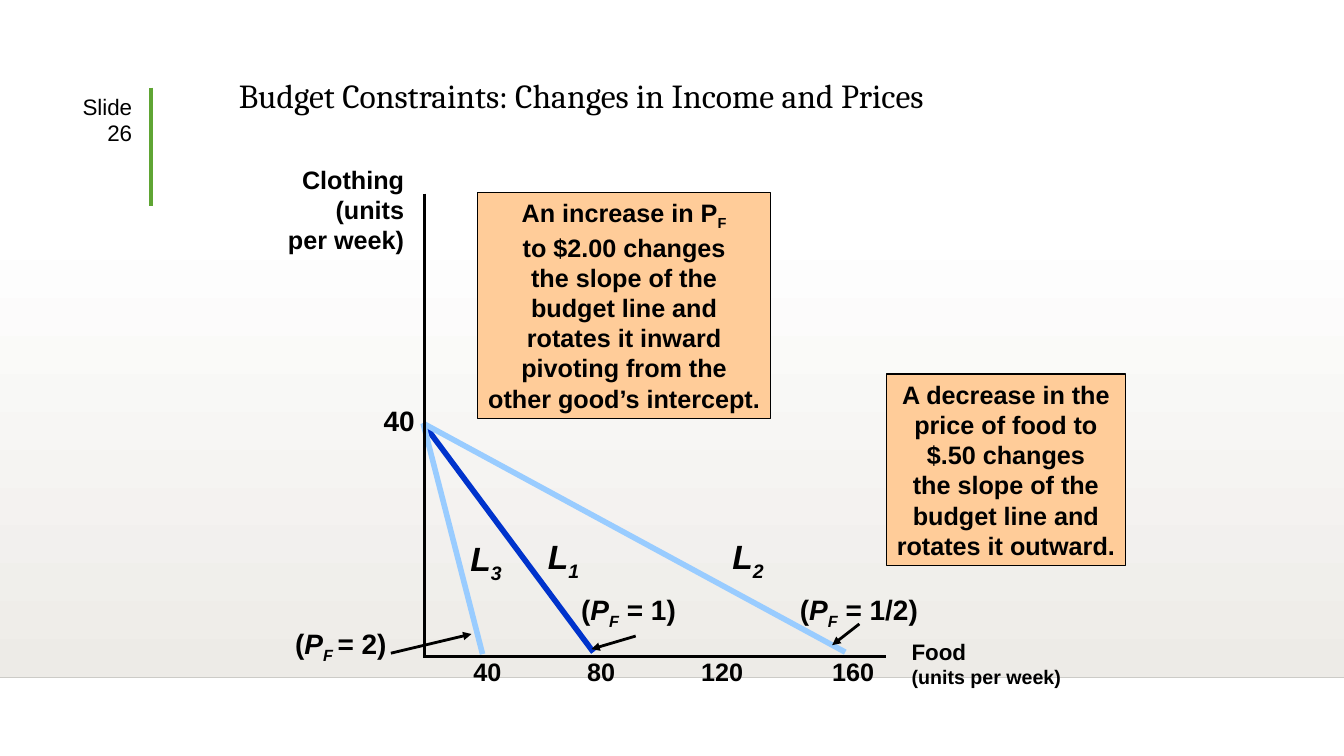
from collections import namedtuple

from lxml.etree import SubElement
from pptx import Presentation
from pptx.dml.color import RGBColor
from pptx.enum.shapes import MSO_CONNECTOR, MSO_SHAPE
from pptx.enum.text import MSO_ANCHOR, MSO_AUTO_SIZE, PP_ALIGN
from pptx.oxml.ns import qn
from pptx.util import Inches, Pt

COLORS = {
    "black": "000000",
    "white": "FFFFFF",
    "floor": "EDEBE7",
    "floor_edge": "CCCBC7",
    "accent": "5FA534",
    "old_line": "0033CC",
    "new_line": "99CCFF",
    "note": "FFCC99",
}
Box = namedtuple("Box", "left top width height")
BudgetLine = namedtuple("BudgetLine", "number price color end label price_box arrow")

BUDGET_LINES = [
    BudgetLine("1", [("F", "is"), (" = 1)", "")], "old_line", (1.69, 4.55),
               (1.14, 3.35), (1.47, 3.91, 1.14), ((2.11, 4.39), (1.67, 4.52))),
    BudgetLine("3", [("F ", "is"), ("= 2)", "")], "new_line", (0.59, 4.57),
               (0.37, 3.37), (-1.37, 4.25, 1.11), ((-0.32, 4.56), (0.48, 4.37))),
    BudgetLine("2", [("F", "is"), (" = 1/2)", "")], "new_line", (4.19, 4.55),
               (2.97, 3.35), (3.64, 3.91, 1.4), ((4.33, 4.27), (4.06, 4.48))),
]
TICKS = [("40", 0.4, 0.48), ("80", 1.53, 0.48), ("120", 2.66, 0.62), ("160", 3.96, 0.62)]
INCREASE_NOTE = [
    [("An increase in P", ""), ("F", "s")],
    "to $2.00 changes",
    "the slope of the",
    "budget line and",
    "rotates it inward",
    "pivoting from the",
    "other good’s intercept.",
]
DECREASE_NOTE = [
    "A decrease in the",
    "price of food to",
    "$.50 changes",
    "the slope of the",
    "budget line and",
    "rotates it outward.",
]


def color(name):
    """Return the named colour."""
    return RGBColor.from_string(COLORS[name])


def write(frame, lines, size, align=PP_ALIGN.LEFT, bold=True, wrap=False):
    """Fill a text frame; a line is a string or spans marked i (italic) and s (subscript)."""
    frame.word_wrap = wrap
    frame.auto_size = MSO_AUTO_SIZE.NONE if wrap else MSO_AUTO_SIZE.SHAPE_TO_FIT_TEXT
    for index, line in enumerate(lines):
        para = frame.paragraphs[0] if index == 0 else frame.add_paragraph()
        para.alignment = align
        for text, marks in [(line, "")] if isinstance(line, str) else line:
            span = para.add_run()
            span.text = text
            span.font.name = "Arial"
            span.font.size = Pt(size)
            span.font.bold = bold
            span.font.italic = "i" in marks
            span.font.color.rgb = color("black")
            if "s" in marks:
                span._r.get_or_add_rPr().set("baseline", "-25000")


def add_text(slide, box, lines, size, **options):
    """Add a text box."""
    frame = slide.shapes.add_textbox(*map(Inches, box)).text_frame
    write(frame, lines, size, **options)
    return frame


def add_line(slide, start, end, color_name, width, arrow=False):
    """Add a straight line, with an arrowhead at its end if asked."""
    line = slide.shapes.add_connector(MSO_CONNECTOR.STRAIGHT, *map(Inches, (*start, *end)))
    line.line.color.rgb = color(color_name)
    line.line.width = Pt(width)
    if arrow:
        SubElement(line.line._get_or_add_ln(), qn("a:tailEnd"), type="triangle")
    SubElement(line._element.spPr, qn("a:effectLst"))


def add_floor(slide, box):
    """Draw the shaded band and its lower edge."""
    floor = slide.shapes.add_shape(MSO_SHAPE.RECTANGLE, *map(Inches, box))
    floor.shadow.inherit = False
    floor.line.fill.background()
    floor.fill.gradient()
    floor.fill.gradient_angle = 270
    for stop, name in zip(floor.fill.gradient_stops, ("white", "floor")):
        stop.color.rgb = color(name)
    edge = box.top + box.height
    add_line(slide, (box.left, edge), (box.left + box.width, edge), "floor_edge", 1)


def add_title(slide, box):
    """Place and format the title."""
    title = slide.shapes.title
    title.left, title.top, title.width, title.height = map(Inches, box)
    frame = title.text_frame
    frame.text = "Budget Constraints: Changes in Income and Prices"
    frame.auto_size = MSO_AUTO_SIZE.NONE
    frame.vertical_anchor = MSO_ANCHOR.BOTTOM
    para = frame.paragraphs[0]
    para.alignment = PP_ALIGN.LEFT
    para.line_spacing = 0.9
    font = para.runs[0].font
    font.name = "Cambria"
    font.size = Pt(24)
    font.color.rgb = color("black")


def add_slide_mark(slide, box):
    """Write the slide number beside the green rule."""
    add_text(slide, Box(box.left, box.top, 0.89, 0.55), ["Slide 26"], 16,
             align=PP_ALIGN.RIGHT, bold=False, wrap=True)
    right = box.left + box.width
    add_line(slide, (right, box.top), (right, box.top + box.height), "accent", 3)


def add_note(slide, box, lines):
    """Add a bordered note."""
    note = slide.shapes.add_shape(MSO_SHAPE.RECTANGLE, *map(Inches, box))
    note.shadow.inherit = False
    note.fill.solid()
    note.fill.fore_color.rgb = color("note")
    note.line.color.rgb = color("black")
    note.line.width = Pt(1)
    note.text_frame.vertical_anchor = MSO_ANCHOR.TOP
    write(note.text_frame, lines, 18, align=PP_ALIGN.CENTER)


def add_graph(slide, box):
    """Draw axes, tick labels and budget lines; the box spans the two axes."""
    def at(x, y):
        return box.left + x, box.top + y

    add_line(slide, at(0, box.height), at(box.width, box.height), "black", 2)
    food = add_text(slide, Box(*at(4.75, 4.36), 1.72, 0.6), ["Food", "(units per week)"], 16)
    food.paragraphs[1].runs[0].font.size = Pt(14)
    add_text(slide, Box(*at(-1.44, -0.34), 1.35, 1), ["Clothing", "(units", "per week)"], 18,
             align=PP_ALIGN.RIGHT)
    for label, x, width in TICKS:
        add_text(slide, Box(*at(x, 4.54), width, 0.4), [label], 18)
    add_text(slide, Box(*at(-0.49, 2.03), 0.51, 0.43), ["40"], 20)
    for line in BUDGET_LINES:
        add_line(slide, at(0, 2.28), at(*line.end), line.color, 4)
        add_text(slide, Box(*at(*line.label), 0.51, 0.55), [[("L", "i"), (line.number, "is")]], 24)
        x, y, width = line.price_box
        add_text(slide, Box(*at(x, y), width, 0.48), [[("(", ""), ("P", "i"), *line.price]], 20)
        start, end = line.arrow
        add_line(slide, at(*start), at(*end), "black", 2, arrow=True)
    add_line(slide, at(0.01, 0), at(0.01, box.height), "black", 2)


def main():
    """Build and save the deck."""
    deck = Presentation()
    deck.slide_width, deck.slide_height = Inches(13.34), Inches(7.5)
    slide = deck.slides.add_slide(deck.slide_layouts[5])
    add_floor(slide, Box(0, 2.2, 13.34, 4.52))
    add_title(slide, Box(2.27, 0.35, 8.73, 0.85))
    add_slide_mark(slide, Box(0.52, 0.87, 0.98, 1.17))
    add_graph(slide, Box(4.2, 1.92, 4.59, 4.59))
    add_note(slide, Box(4.74, 1.91, 2.91, 2.24), INCREASE_NOTE)
    add_note(slide, Box(8.8, 3.71, 2.37, 1.9), DECREASE_NOTE)
    deck.save("out.pptx")


if __name__ == "__main__":
    main()
